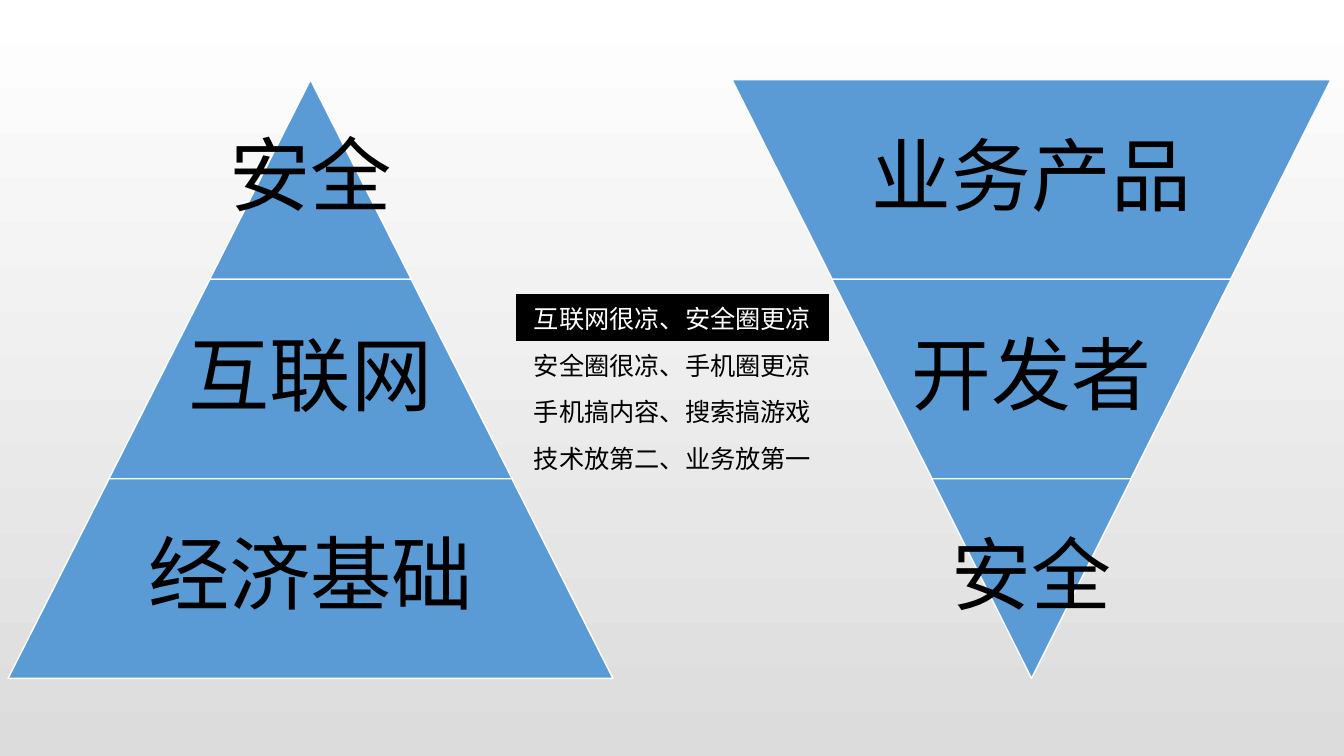
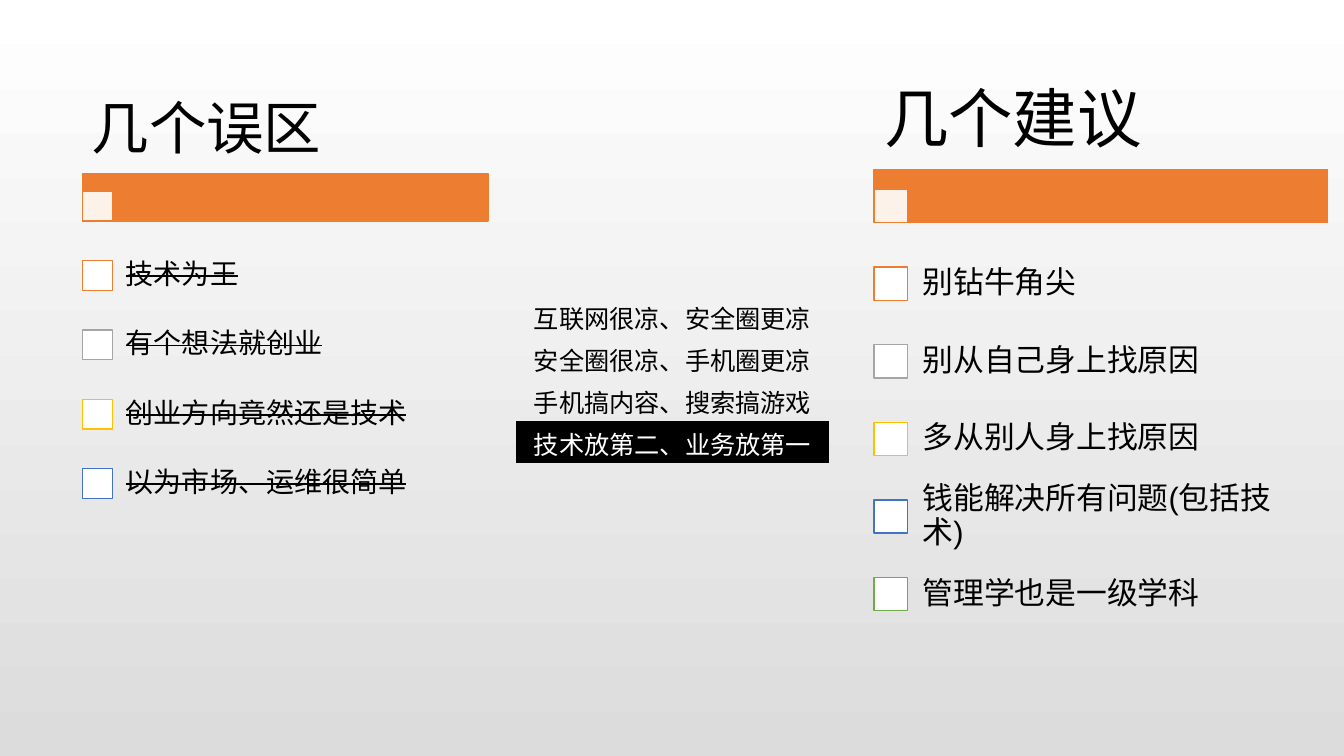
"""Builds two slides: a pair of three-level pyramids, and two checklists beside a motto table."""
from dataclasses import dataclass

from lxml.etree import SubElement
from pptx import Presentation
from pptx.dml.color import RGBColor
from pptx.enum.shapes import MSO_SHAPE
from pptx.enum.text import MSO_ANCHOR, PP_ALIGN
from pptx.oxml.ns import qn
from pptx.shapes.autoshape import Shape
from pptx.slide import Slide
from pptx.text.text import _Paragraph as Para
from pptx.util import Inches, Pt


@dataclass(frozen=True)
class Theme:
    font: str = "Arial"
    black: str = "000000"
    white: str = "FFFFFF"
    shade: str = "DCDCDC"
    blue: str = "5B9BD5"
    orange: str = "ED7D31"
    marks: tuple[str, ...] = ("ED7D31", "A5A5A5", "FFC000", "4472C4", "70AD47")
    motto: int = 18
    title: int = 46
    item: int = 22
    line: int = 1
    plain: str = "{2D5ABB26-0587-4C30-8999-92F81FD0307C}"


@dataclass(frozen=True)
class Box:
    left: float
    top: float
    width: float
    height: float

    def emu(self) -> tuple[int, ...]:
        return tuple(Inches(n) for n in (self.left, self.top, self.width, self.height))


@dataclass(frozen=True)
class Tower:
    labels: tuple[str, ...]
    middle: float
    unit: float
    slant: float
    size: int
    flip: bool = False


@dataclass(frozen=True)
class Panel:
    title: str
    items: tuple[str, ...]
    left: float
    top: float
    width: float
    strike: bool = False


THEME = Theme()
MOTTOS = ("互联网很凉、安全圈更凉", "安全圈很凉、手机圈更凉",
          "手机搞内容、搜索搞游戏", "技术放第二、业务放第一")
TOWERS = (
    Tower(("安全", "互联网", "经济基础"), 3.08, 2, 0.506, 58),
    Tower(("业务产品", "开发者", "安全"), 10.23, 1.98, 0.502, 57, flip=True),
)
PANELS = (
    Panel("几个建议", ("别钻牛角尖", "别从自己身上找原因", "多从别人身上找原因",
                   "钱能解决所有问题(包括技术)", "管理学也是一级学科"), 8.67, 0.73, 4.5),
    Panel("几个误区", ("技术为王", "有个想法就创业", "创业方向竟然还是技术",
                   "以为市场、运维很简单"), 0.82, 0.87, 4.02, strike=True),
)


def color(code: str) -> RGBColor:
    """Turn a hex code into a colour."""
    return RGBColor.from_string(code)


def style(para: Para, size: float, code: str) -> None:
    """Set the font of a paragraph."""
    para.font.name = THEME.font
    para.font.size = Pt(size)
    para.font.color.rgb = color(code)


def shape(slide: Slide, kind: MSO_SHAPE, box: Box, fill: str, line: str) -> Shape:
    """Add a flat filled shape."""
    item = slide.shapes.add_shape(kind, *box.emu())
    item.shadow.inherit = False
    item.fill.solid()
    item.fill.fore_color.rgb = color(fill)
    item.line.color.rgb = color(line)
    item.line.width = Pt(THEME.line)
    return item


def label(slide: Slide, box: Box, text: str, size: float, side: float,
          edge: float, align: PP_ALIGN = PP_ALIGN.LEFT) -> Para:
    """Add a wrapped text box, centred in height, and return its paragraph."""
    frame = slide.shapes.add_textbox(*box.emu()).text_frame
    frame.word_wrap = True
    frame.vertical_anchor = MSO_ANCHOR.MIDDLE
    frame.margin_left = frame.margin_right = Inches(side)
    frame.margin_top = frame.margin_bottom = Inches(edge)
    para = frame.paragraphs[0]
    para.text = text
    para.alignment = align
    para.line_spacing = 0.9
    style(para, size, THEME.black)
    return para


def mottos(slide: Slide, active: int) -> None:
    """Add the motto table with one row in reverse colours."""
    box = Box(5.12, 2.92, 3.1, 1.67)
    table = slide.shapes.add_table(len(MOTTOS), 1, *box.emu()).table
    table.first_row = table.horz_banding = False
    table._tbl.tblPr.find(qn("a:tableStyleId")).text = THEME.plain
    for row, text in enumerate(MOTTOS):
        cell = table.cell(row, 0)
        cell.text = text
        para = cell.text_frame.paragraphs[0]
        para.alignment = PP_ALIGN.CENTER
        style(para, THEME.motto, THEME.white if row == active else THEME.black)
        if row == active:
            cell.fill.solid()
            cell.fill.fore_color.rgb = color(THEME.black)
        else:
            cell.fill.background()


def tower(slide: Slide, spec: Tower) -> None:
    """Add a pyramid of stacked levels, upright or upside down."""
    count, high = len(spec.labels), 1.98
    for row, text in enumerate(spec.labels):
        wide = spec.unit * (count - row if spec.flip else row + 1)
        box = Box(spec.middle - wide / 2, 0.79 + row * high, wide, high)
        level = shape(slide, MSO_SHAPE.TRAPEZOID, box, THEME.blue, THEME.white)
        level.adjustments[0] = spec.slant
        level.rotation = 180 if spec.flip else 0
        label(slide, box, text, spec.size, 0.08, 0.08, PP_ALIGN.CENTER)


def panel(slide: Slide, spec: Panel) -> None:
    """Add a titled checklist, scaled to its width."""
    scale = spec.width / 4.5

    def place(left: float, top: float, width: float, height: float) -> Box:
        """Scale a box and move it to the panel."""
        return Box(spec.left + left * scale, spec.top + top * scale,
                   width * scale, height * scale)

    shape(slide, MSO_SHAPE.RECTANGLE, place(0, 0.95, 4.5, 0.53), THEME.orange, THEME.orange)
    head = shape(slide, MSO_SHAPE.RECTANGLE, place(0, 1.15, 0.33, 0.33),
                 THEME.white, THEME.orange)
    tint = head.fill._xPr.find(qn("a:solidFill"))[0]
    SubElement(tint, qn("a:alpha"), val="90000")
    label(slide, place(0, 0, 4.5, 0.95), spec.title, round(THEME.title * scale),
          0.1 * scale, 0.06)
    for row, (text, mark) in enumerate(zip(spec.items, THEME.marks)):
        top = 1.7 + row * 0.77
        shape(slide, MSO_SHAPE.RECTANGLE, place(0, top + 0.22, 0.33, 0.33),
              THEME.white, mark)
        para = label(slide, place(0.31, top, 4.19, 0.77), text,
                     round(THEME.item * scale), 0.17 * scale, 0.17 * scale)
        if spec.strike:
            para._p.get_or_add_pPr().get_or_add_defRPr().set("strike", "sngStrike")


def main() -> None:
    """Build and save the slides."""
    deck = Presentation()
    deck.slide_width, deck.slide_height = Inches(13.33), Inches(7.5)
    fill = deck.slide_master.background.fill
    fill.gradient()
    fill.gradient_angle = 270
    for stop, code in zip(fill.gradient_stops, (THEME.white, THEME.shade)):
        stop.color.rgb = color(code)
    blank = deck.slide_layouts[6]

    first = deck.slides.add_slide(blank)
    mottos(first, 0)
    for item in TOWERS:
        tower(first, item)

    last = deck.slides.add_slide(blank)
    mottos(last, len(MOTTOS) - 1)
    for item in PANELS:
        panel(last, item)
    deck.save("out.pptx")


if __name__ == "__main__":
    main()
